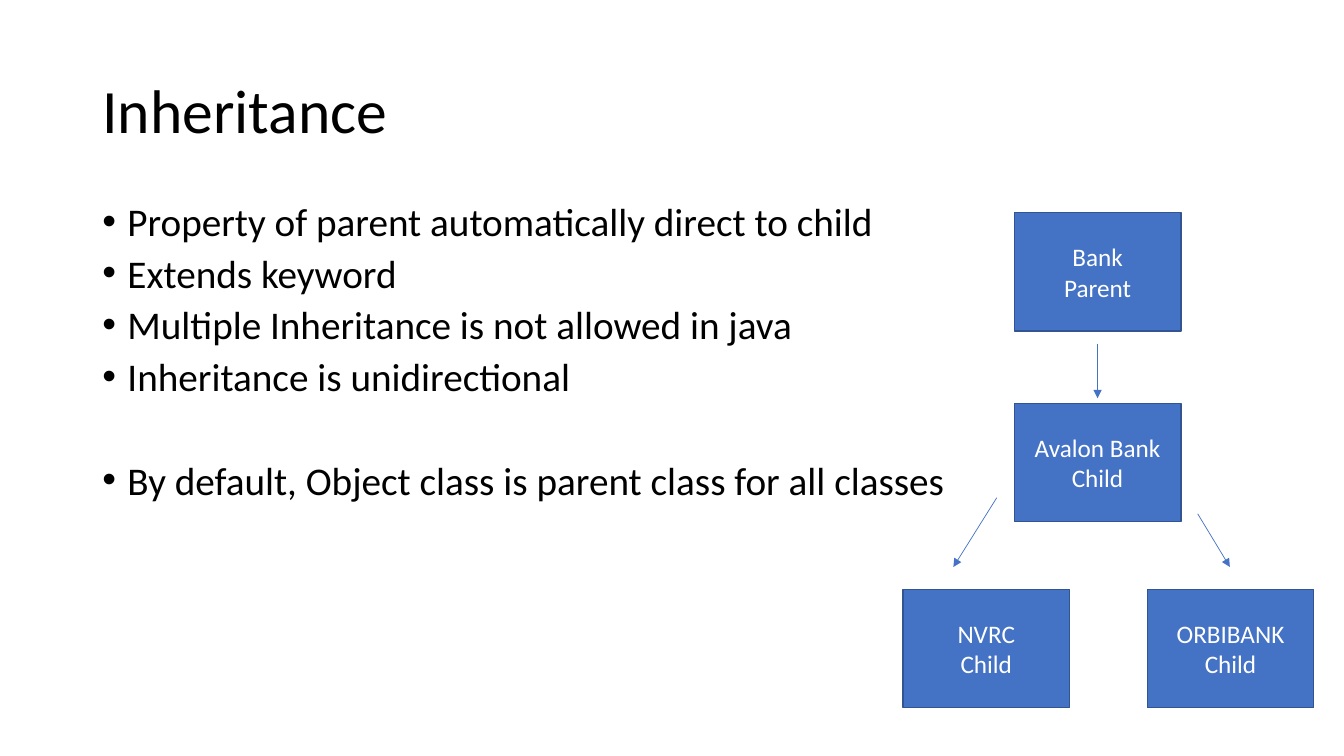
from lxml.etree import SubElement
from pptx import Presentation
from pptx.dml.color import RGBColor
from pptx.enum.shapes import MSO_CONNECTOR, MSO_SHAPE
from pptx.enum.text import MSO_ANCHOR, MSO_AUTO_SIZE, PP_ALIGN
from pptx.oxml.ns import qn
from pptx.util import Pt

BLACK, WHITE, BLUE, DARK_BLUE = "000000", "FFFFFF", "4472C4", "325491"
MARGIN_LEFT, CONTENT_WIDTH = 66, 828
BOX_WIDTH, BOX_HEIGHT = 119, 84.5
BULLET_INDENT = 18

# Text and space before, in points
BULLETS = [
    ("Property of parent automatically direct to child", 10),
    ("Extends keyword", 10),
    ("Multiple Inheritance is not allowed in java", 10),
    ("Inheritance is unidirectional", 10),
    ("By default, Object class is parent class for all classes", 47.2),
]

# Name, role, left, top
BOXES = [
    ("Bank", "Parent", 724.5, 152),
    ("Avalon Bank", "Child", 724.5, 288),
    ("NVRC", "Child", 645, 421),
    ("ORBIBANK", "Child", 819.5, 421),
]

# Start x, start y, end x, end y
ARROWS = [
    (784, 245.5, 784, 284.5),
    (712, 355.5, 681, 405),
    (855.5, 367, 878.5, 405),
]


def rgb(hex_color):
    return RGBColor.from_string(hex_color)


def set_attributes(target, values):
    for name, value in values.items():
        setattr(target, name, value)


def write_paragraphs(text_frame, lines, size, color, paragraph_format):
    for index, line in enumerate(lines):
        paragraph = text_frame.paragraphs[0] if index == 0 else text_frame.add_paragraph()
        set_attributes(paragraph, paragraph_format)
        run = paragraph.add_run()
        run.text = line
        set_attributes(run.font, {"size": Pt(size), "name": "Calibri"})
        run.font.color.rgb = rgb(color)


def format_title(slide, text):
    title = slide.shapes.title
    set_attributes(title, {"left": Pt(MARGIN_LEFT), "top": Pt(28.75),
                           "width": Pt(CONTENT_WIDTH), "height": Pt(104.4)})
    set_attributes(title.text_frame, {"vertical_anchor": MSO_ANCHOR.MIDDLE, "word_wrap": True,
                                      "auto_size": MSO_AUTO_SIZE.NONE})
    write_paragraphs(title.text_frame, [text], 44, BLACK,
                     {"alignment": PP_ALIGN.LEFT, "line_spacing": 0.9})


def add_bullets(slide, bullets):
    text_box = slide.shapes.add_textbox(Pt(MARGIN_LEFT), Pt(144), Pt(CONTENT_WIDTH), Pt(297.4))
    text_frame = text_box.text_frame
    text_frame.word_wrap = True
    write_paragraphs(text_frame, [text for text, _ in bullets], 28, BLACK, {"line_spacing": 0.8})
    for paragraph, (_, space_before) in zip(text_frame.paragraphs, bullets):
        paragraph.space_before = Pt(space_before)
        properties = paragraph._p.get_or_add_pPr()
        properties.set("marL", str(Pt(BULLET_INDENT)))
        properties.set("indent", str(-Pt(BULLET_INDENT)))
        SubElement(properties, qn("a:buFont"), typeface="Arial")
        SubElement(properties, qn("a:buChar"), char="•")


def add_class_box(slide, name, role, left, top):
    box = slide.shapes.add_shape(MSO_SHAPE.RECTANGLE, Pt(left), Pt(top),
                                 Pt(BOX_WIDTH), Pt(BOX_HEIGHT))
    box.shadow.inherit = False
    box.fill.solid()
    box.fill.fore_color.rgb = rgb(BLUE)
    box.line.color.rgb = rgb(DARK_BLUE)
    box.line.width = Pt(1)
    set_attributes(box.text_frame, {"vertical_anchor": MSO_ANCHOR.MIDDLE, "word_wrap": True})
    write_paragraphs(box.text_frame, [name, role], 18, WHITE, {"alignment": PP_ALIGN.CENTER})


def add_arrow(slide, *ends):
    arrow = slide.shapes.add_connector(MSO_CONNECTOR.STRAIGHT, *(Pt(value) for value in ends))
    arrow.line.color.rgb = rgb(BLUE)
    arrow.line.width = Pt(0.5)
    SubElement(arrow.line._get_or_add_ln(), qn("a:tailEnd"), type="triangle")
    SubElement(arrow._element.spPr, qn("a:effectLst"))


def main():
    presentation = Presentation()
    set_attributes(presentation, {"slide_width": Pt(960), "slide_height": Pt(540)})
    slide = presentation.slides.add_slide(presentation.slide_layouts.get_by_name("Title Only"))
    format_title(slide, "Inheritance")
    add_bullets(slide, BULLETS)
    for box in BOXES:
        add_class_box(slide, *box)
    for arrow in ARROWS:
        add_arrow(slide, *arrow)
    presentation.save("out.pptx")


if __name__ == "__main__":
    main()
